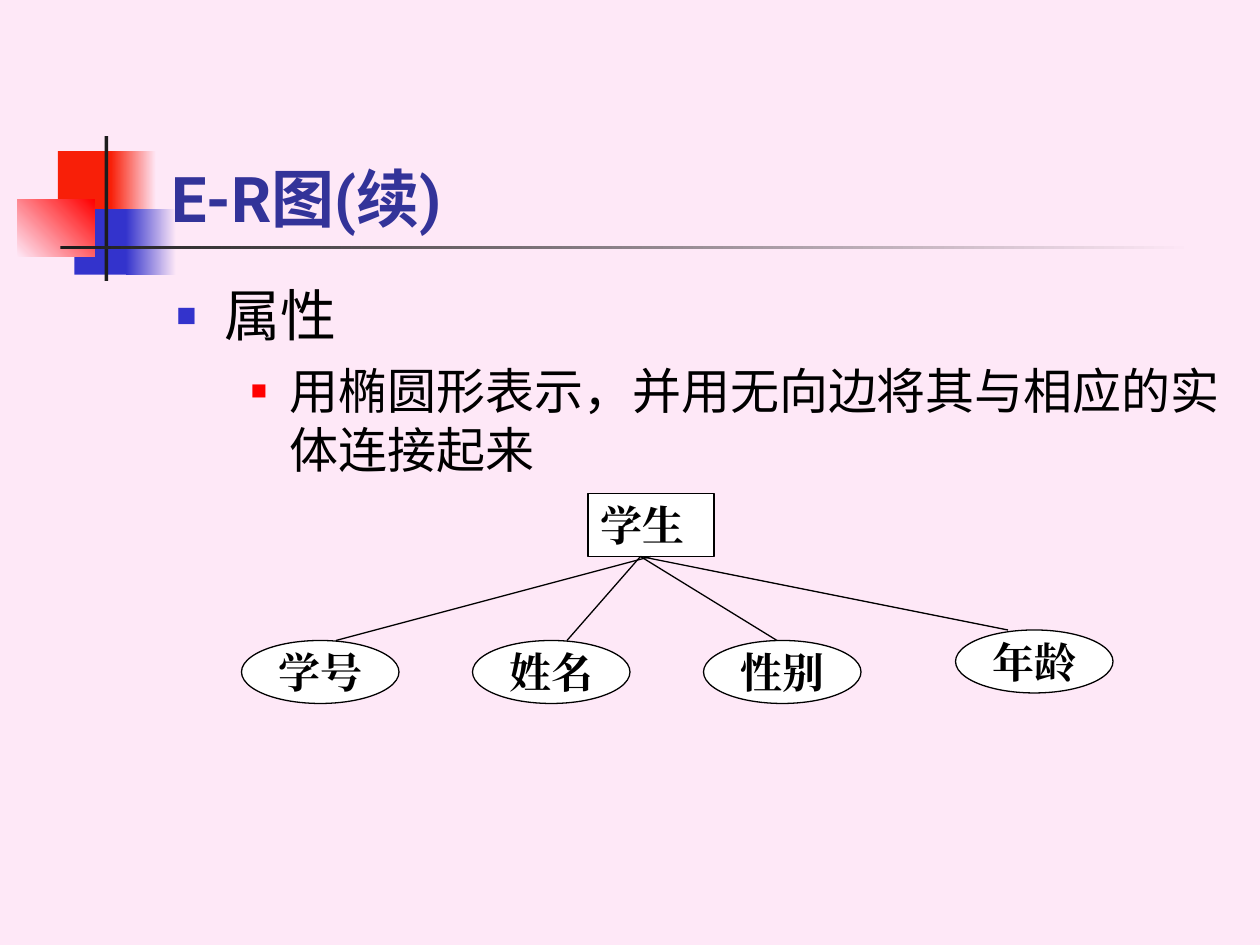
from typing import NamedTuple, Optional

from lxml.etree import SubElement
from pptx import Presentation
from pptx.dml.color import RGBColor
from pptx.enum.shapes import MSO_CONNECTOR, MSO_SHAPE
from pptx.enum.text import MSO_ANCHOR, MSO_AUTO_SIZE, PP_ALIGN
from pptx.oxml.ns import qn
from pptx.util import Emu, Inches, Pt

COLUMNS, ROWS = 120, 90
CELL = Inches(10) / COLUMNS
BACKGROUND, INK, WHITE = "FEE8F7", "000000", "FFFFFF"
RED, BLUE, DARK = "F81F08", "3333CC", "1C1C1C"


class Area(NamedTuple):
    """Left, top, width and height in grid cells."""
    left: float
    top: float
    width: float
    height: float


class Block(NamedTuple):
    area: Area
    color: str
    fade_to: Optional[str] = None
    angle: float = 0


class Attribute(NamedTuple):
    name: str
    column: float
    row: float
    line_start: float
    line_end: float


BLOCKS = [
    Block(Area(5.52, 14.4, 5.76, 6.24), RED),
    Block(Area(10.56, 14.4, 4.32, 6.24), RED, BACKGROUND),
    Block(Area(7.08, 19.92, 5.52, 6.24), BLUE),
    Block(Area(12, 19.92, 4.8, 6.24), BLUE, BACKGROUND),
    Block(Area(1.68, 18.96, 7.32, 5.52), BACKGROUND, "FF0000", 45),
    Block(Area(9.96, 12.96, 0.36, 13.8), DARK),
    Block(Area(5.76, 23.4, 108, 0.36), DARK, BACKGROUND),
]
ENTITY = Area(56, 47, 12, 6)
ATTRIBUTES = [
    Attribute("学号", 23, 61, 62, 32),
    Attribute("姓名", 45, 61, 61, 54),
    Attribute("性别", 67, 61, 61, 74),
    Attribute("年龄", 91, 60, 61, 96),
]


def cells(count: float) -> Emu:
    return Emu(round(count * CELL))


def rgb(color: str) -> RGBColor:
    return RGBColor.from_string(color)


def write(paragraph, text: str, *, size: float, font: str = "Roboto", color: str = INK,
          bold: bool = False, align=PP_ALIGN.LEFT, before: float = 0) -> None:
    paragraph.alignment = align
    paragraph.space_before = Pt(before)
    run = paragraph.add_run()
    run.text = text
    run.font.size, run.font.bold, run.font.name = Pt(size), bold, font
    run.font.color.rgb = rgb(color)
    SubElement(run.font._element, qn("a:ea"), typeface=font)


def add_bullet(paragraph, *, color: str, percent: int, left: float, hanging: float) -> None:
    properties = paragraph._p.get_or_add_pPr()
    properties.set("marL", str(Inches(left)))
    properties.set("indent", str(-Inches(hanging)))
    bullet_color = SubElement(properties, qn("a:buClr"))
    SubElement(bullet_color, qn("a:srgbClr"), val=color)
    SubElement(properties, qn("a:buSzPct"), val=str(percent * 1000))
    SubElement(properties, qn("a:buFont"), typeface="Arial")
    SubElement(properties, qn("a:buChar"), char="■")


def place(shape, area: Area) -> None:
    shape.left, shape.top, shape.width, shape.height = map(cells, area)


def add_block(slide, block: Block) -> None:
    shape = slide.shapes.add_shape(MSO_SHAPE.RECTANGLE, *map(cells, block.area))
    shape.shadow.inherit = False
    shape.line.fill.background()
    if block.fade_to is None:
        shape.fill.solid()
        shape.fill.fore_color.rgb = rgb(block.color)
        return
    shape.fill.gradient()
    shape.fill.gradient_angle = block.angle
    for stop, color, position in zip(shape.fill.gradient_stops,
                                     (block.color, block.fade_to), (0, 1)):
        stop.color.rgb = rgb(color)
        stop.position = position


def add_node(slide, kind, area: Area, text: str, *, align, anchor, wrap: bool):
    shape = slide.shapes.add_shape(kind, *map(cells, area))
    shape.shadow.inherit = False
    shape.fill.solid()
    shape.fill.fore_color.rgb = rgb(WHITE)
    shape.line.color.rgb = rgb(INK)
    shape.line.width = Pt(0.75)
    frame = shape.text_frame
    frame.word_wrap, frame.vertical_anchor = wrap, anchor
    write(frame.paragraphs[0], text, size=24, font="Times New Roman", bold=True, align=align)
    return shape


def add_edge(slide, entity, attribute: Attribute) -> None:
    bottom = ENTITY.top + ENTITY.height
    line = slide.shapes.add_connector(
        MSO_CONNECTOR.STRAIGHT, cells(attribute.line_start), cells(bottom),
        cells(attribute.line_end), cells(attribute.row))
    line.line.color.rgb = rgb(INK)
    line.line.width = Pt(0.75)
    SubElement(line._element.spPr, qn("a:effectLst"))
    if attribute.line_start == ENTITY.left + ENTITY.width / 2:
        line.begin_connect(entity, 2)


def fill_placeholders(slide) -> None:
    title, body = slide.shapes.title, slide.placeholders[1]
    place(title, Area(15.12, 8, 102.24, 15))
    place(body, Area(15.6, 26.16, 102, 54))
    for shape, anchor in ((title, MSO_ANCHOR.BOTTOM), (body, MSO_ANCHOR.TOP)):
        shape.text_frame.auto_size = MSO_AUTO_SIZE.NONE
        shape.text_frame.vertical_anchor = anchor
        slide.shapes._spTree.append(shape._element)  # in front of the blocks
    write(title.text_frame.paragraphs[0], "E-R图(续)", size=36, color="333399", bold=True)
    topic = body.text_frame.paragraphs[0]
    add_bullet(topic, color=BLUE, percent=60, left=0.38, hanging=0.38)
    write(topic, "属性", size=32)
    detail = body.text_frame.add_paragraph()
    detail.level = 1
    add_bullet(detail, color="FF0000", percent=55, left=0.9, hanging=0.31)
    write(detail, "用椭圆形表示，并用无向边将其与相应的实体连接起来", size=28, before=7)


def main() -> None:
    presentation = Presentation()
    presentation.slide_width, presentation.slide_height = cells(COLUMNS), cells(ROWS)
    slide = presentation.slides.add_slide(presentation.slide_layouts[1])
    slide.background.fill.solid()
    slide.background.fill.fore_color.rgb = rgb(BACKGROUND)
    for block in BLOCKS:
        add_block(slide, block)
    fill_placeholders(slide)
    entity = add_node(slide, MSO_SHAPE.RECTANGLE, ENTITY, "学生",
                      align=PP_ALIGN.LEFT, anchor=MSO_ANCHOR.TOP, wrap=True)
    for attribute in ATTRIBUTES:
        add_node(slide, MSO_SHAPE.OVAL, Area(attribute.column, attribute.row, 15, 6),
                 attribute.name, align=PP_ALIGN.CENTER, anchor=MSO_ANCHOR.MIDDLE, wrap=False)
    for attribute in ATTRIBUTES:
        add_edge(slide, entity, attribute)
    presentation.save("out.pptx")


if __name__ == "__main__":
    main()
